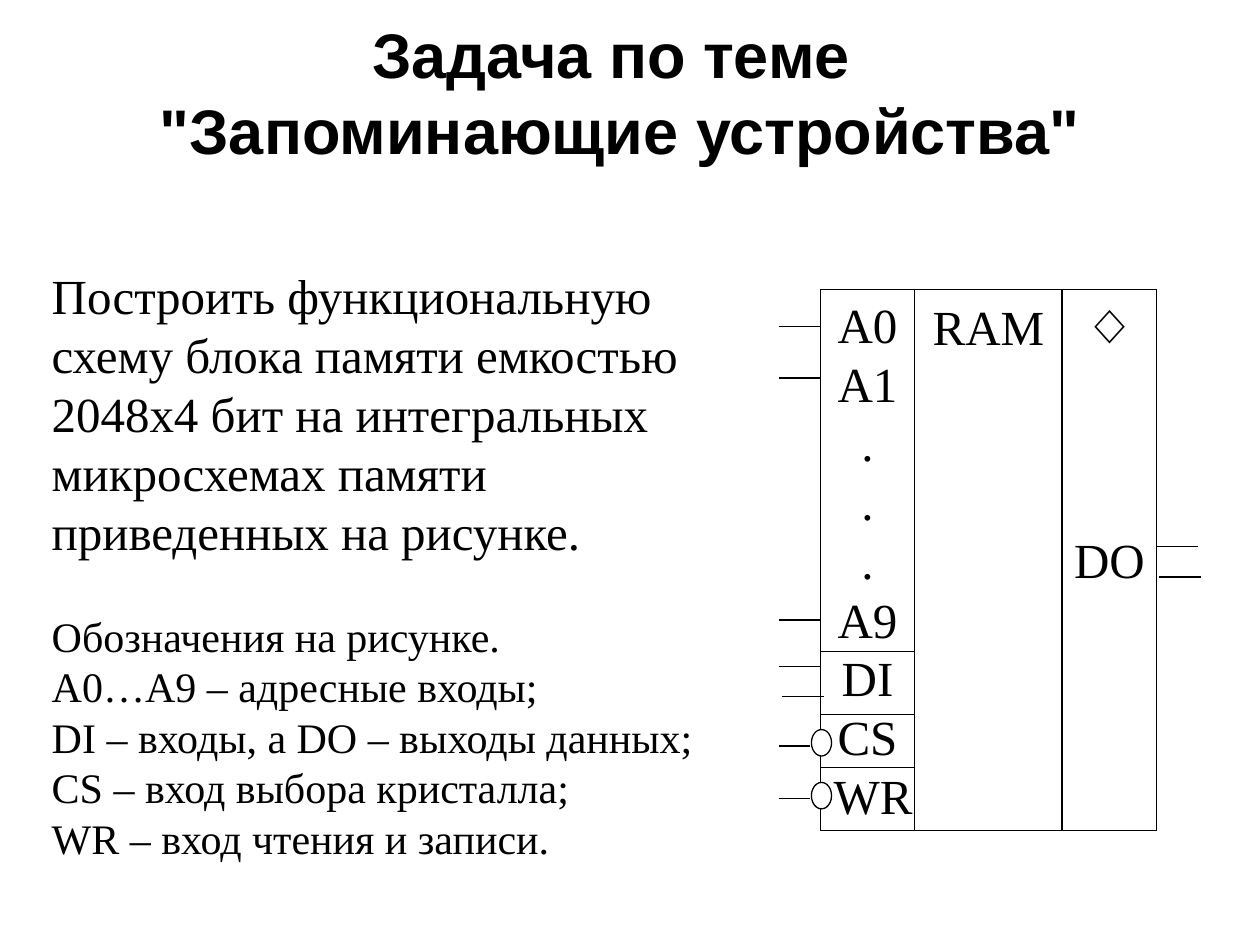
import pptx
import pptx.dml.color
import pptx.enum.shapes
import pptx.enum.text
import pptx.util
from lxml import etree
from pptx.oxml.ns import qn
from pptx.util import Inches

BLACK = pptx.dml.color.RGBColor(0, 0, 0)
WHITE = pptx.dml.color.RGBColor(255, 255, 255)
SERIF = "Times New Roman"
SANS = "Arial"
SHAPE = pptx.enum.shapes.MSO_SHAPE
ANCHOR = pptx.enum.text.MSO_ANCHOR
ALIGN = pptx.enum.text.PP_ALIGN


class SlideBuilder:
    line_width = pptx.util.Pt(0.75)

    def __init__(self, prs):
        self.s = prs.slides.add_slide(prs.slide_layouts[1])

    def place(self, sp, left, top, width, height):
        sp.left, sp.top = Inches(left), Inches(top)
        sp.width, sp.height = Inches(width), Inches(height)

    def frame(self, sp, dx, dy, anchor=ANCHOR.TOP):
        tf = sp.text_frame
        tf.word_wrap = True
        tf.auto_size = pptx.enum.text.MSO_AUTO_SIZE.NONE
        tf.margin_left = tf.margin_right = Inches(dx)
        tf.margin_top = tf.margin_bottom = Inches(dy)
        tf.vertical_anchor = anchor
        return tf

    def format(self, p, size, font=SERIF, align=ALIGN.CENTER, before=0, bold=False):
        p.alignment = align
        p.space_before = pptx.util.Pt(before)
        for r in p.runs:
            r.font.size = pptx.util.Pt(size)
            r.font.name = font
            r.font.bold = bold
            r.font.color.rgb = BLACK

    def title(self, text, box):
        sp = self.s.shapes.title
        self.place(sp, *box)
        tf = self.frame(sp, 0.1, 0.05, ANCHOR.MIDDLE)
        tf.text = text
        self.format(tf.paragraphs[0], 36, SANS, bold=True)

    def body(self, task, legend, box):
        sp = self.s.placeholders[1]
        self.place(sp, *box)
        tf = self.frame(sp, 0.02, 0.01)
        tf.text = "\n".join([task] + legend)
        for i, p in enumerate(tf.paragraphs):
            pPr = p._p.get_or_add_pPr()
            pPr.set("marL", "0")
            pPr.set("indent", "0")
            etree.SubElement(pPr, qn("a:buNone"))
            self.format(p, 24 if i else 28, align=ALIGN.LEFT, before=28.8 if i == 1 else 0)

    def shape(self, kind, left, top, width, height):
        sp = self.s.shapes.add_shape(
            kind, Inches(left), Inches(top), Inches(width), Inches(height))
        sp.shadow.inherit = False
        sp.fill.solid()
        sp.fill.fore_color.rgb = WHITE
        sp.line.color.rgb = BLACK
        sp.line.width = self.line_width
        return sp

    def column(self, left, width, labels, dx=0, dy=0.04):
        sp = self.shape(SHAPE.RECTANGLE, left, 2.3, width, 4.29)
        tf = self.frame(sp, dx, dy)
        tf.text = "\n".join(text for text, font, before in labels)
        for p, (text, font, before) in zip(tf.paragraphs, labels):
            self.format(p, 28, font, before=before)

    def line(self, x1, x2, y):
        c = self.s.shapes.add_connector(
            pptx.enum.shapes.MSO_CONNECTOR.STRAIGHT,
            Inches(x1), Inches(y), Inches(x2), Inches(y))
        c.line.color.rgb = BLACK
        c.line.width = self.line_width
        etree.SubElement(c._element.spPr, qn("a:effectLst"))


def main():
    prs = pptx.Presentation()
    prs.slide_width, prs.slide_height = Inches(10), Inches(7.5)
    b = SlideBuilder(prs)

    b.title('Задача по теме \v"Запоминающие устройства"', (0.67, 0.1, 8.5, 1.25))
    b.body(
        "Построить функциональную схему блока памяти емкостью 2048х4 бит "
        "на интегральных микросхемах памяти приведенных на рисунке.",
        ["Обозначения на рисунке.",
         "А0…А9 – адресные входы;",
         "DI – входы, а DO – выходы данных;",
         "CS – вход выбора кристалла;",
         "WR – вход чтения и записи."],
        (0.39, 2.1, 5.75, 4.88))

    inputs = ["A0", "A1", ".", ".", ".", "A9", "DI", "CS", " WR"]
    b.column(7.26, 1.17, [("RAM", SERIF, 0)], 0.1, 0.05)
    b.column(6.51, 0.75, [(name, SERIF, 0) for name in inputs])
    b.column(8.43, 0.75, [("◇", SANS, 0), ("DO", SERIF, 100.5)])

    for y in (5.17, 5.67, 6.09):
        b.line(6.51, 7.26, y)
    for y in (5.79, 6.21):
        b.shape(SHAPE.OVAL, 6.44, y, 0.16, 0.21)
        b.line(6.18, 6.43, y + 0.13)
    for x, y in ((6.18, 2.59), (6.18, 3), (6.18, 4.92), (6.18, 5.29),
                 (6.21, 5.53), (9.18, 4.34), (9.2, 4.58)):
        b.line(x, x + 0.33, y)

    prs.save("out.pptx")


if __name__ == "__main__":
    main()
